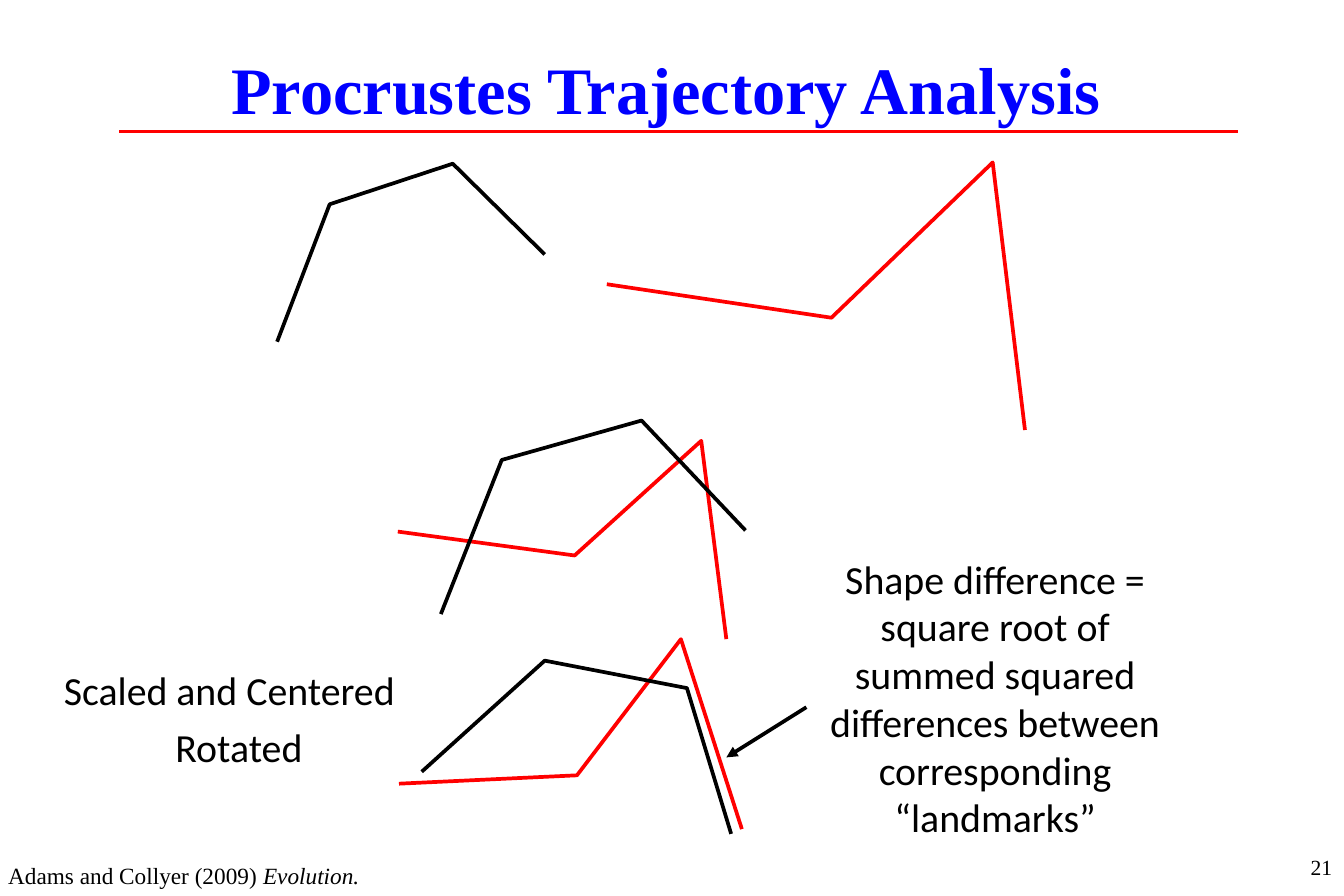
from lxml import etree
from pptx import Presentation, util as u
from pptx.dml.color import RGBColor
from pptx.enum import text as t
from pptx.oxml import ns

PX = 9144  # 100 px to the inch
BLACK, RED, BLUE = "000000", "FF0000", "0000FF"
SERIF, SANS = "Times New Roman", "Calibri"
LEFT, CENTER, RIGHT = t.PP_ALIGN.LEFT, t.PP_ALIGN.CENTER, t.PP_ALIGN.RIGHT
TOP, MIDDLE = t.MSO_ANCHOR.TOP, t.MSO_ANCHOR.MIDDLE

# Each panel: origin, then its trajectories as (colour, points inside the panel)
RAW = (217, 136), [
    (RED, [(291, 102), (479, 130), (614, 0), (641, 224)]),
    (BLACK, [(15, 150), (59, 35), (162, 1), (239, 77)]),
]
SCALED = (333, 352), [
    (RED, [(0, 93), (148, 113), (254, 17), (275, 183)]),
    (BLACK, [(36, 162), (87, 33), (204, 0), (291, 92)]),
]
ROTATED = (334, 535), [
    (RED, [(0, 121), (149, 114), (236, 0), (287, 159)]),
    (BLACK, [(19, 111), (122, 18), (241, 41), (278, 163)]),
]


def px(*lengths):
    return [length * PX for length in lengths]


def rgb(colour):
    return RGBColor.from_string(colour)


def set_all(target, values):
    for name, value in values.items():
        setattr(target, name, value)


def write(holder, runs, size, font, colour=BLACK, align=CENTER, anchor=TOP, bold=False):
    """Fill one paragraph with (wording, italic) runs."""
    frame = holder.text_frame
    set_all(frame, dict(word_wrap=True, auto_size=t.MSO_AUTO_SIZE.NONE, vertical_anchor=anchor))
    paragraph = frame.paragraphs[0]
    paragraph.alignment = align
    for wording, italic in runs:
        run = paragraph.add_run()
        run.text = wording
        set_all(run.font, dict(size=u.Pt(size), name=font, bold=bold, italic=italic))
        run.font.color.rgb = rgb(colour)


def label(slide, box, runs, size=24, font=SANS, **style):
    write(slide.shapes.add_textbox(*px(*box)), runs, size, font, **style)


def stroke(line, colour, width):
    line.color.rgb = rgb(colour)
    line.width = u.Pt(width)


def straight(slide, start, end, colour, width, arrow=False):
    connector = slide.shapes.add_connector(1, *px(*start, *end))
    stroke(connector.line, colour, width)
    if arrow:
        etree.SubElement(connector.get_or_add_ln(), ns.qn("a:tailEnd"), type="triangle")
    etree.SubElement(connector._element.spPr, ns.qn("a:effectLst"))


def heading(slide, box):
    left, top, width, height = box
    title = slide.shapes.title
    set_all(title, dict(zip(("left", "top", "width", "height"), px(*box))))
    write(title, [("Procrustes Trajectory Analysis", False)], 40, SERIF,
          colour=BLUE, anchor=MIDDLE, bold=True)
    rule = top + 99
    straight(slide, (left + 83, rule), (left + 1019, rule), RED, 1.5)


def trajectories(slide, origin, paths):
    left, top = origin
    for colour, points in paths:
        first, *rest = [px(left + x, top + y) for x, y in points]
        builder = slide.shapes.build_freeform(*first)
        builder.add_line_segments(rest, close=False)
        trajectory = builder.convert_to_shape()
        trajectory.fill.background()
        trajectory.shadow.inherit = False
        stroke(trajectory.line, colour, 2.25)


def explanation(slide, box):
    """Definition of shape difference, with an arrow to the rotated pair."""
    left, top, _, _ = box
    label(slide, box, [("Shape difference = square root of summed squared differences "
                        "between corresponding “landmarks”", False)])
    straight(slide, (left - 8, top + 133), (left - 75, top + 175), BLACK, 2.25, arrow=True)


def footer(slide, box):
    left, top, width, height = box
    label(slide, (left, top, 507, height),
          [("Adams and Collyer (2009) ", False), ("Evolution.", True)], 14, SERIF, align=LEFT)
    label(slide, (left + width - 234, top - 15, 234, 50), [("21", False)], 13, SERIF,
          align=RIGHT, anchor=MIDDLE)


def main():
    deck = Presentation()
    deck.slide_width, deck.slide_height = px(1125, 750)
    slide = deck.slides.add_slide(deck.slide_layouts[5])
    heading(slide, (17, 11, 1081, 125))
    for origin, paths in (RAW, SCALED, ROTATED):
        trajectories(slide, origin, paths)
    label(slide, (42, 552, 300, 40), [("Scaled and Centered", False)])
    label(slide, (50, 600, 300, 40), [("Rotated", False)])
    explanation(slide, (683, 459, 300, 250))
    footer(slide, (-3, 716, 1128, 34))
    deck.save("out.pptx")


if __name__ == "__main__":
    main()
